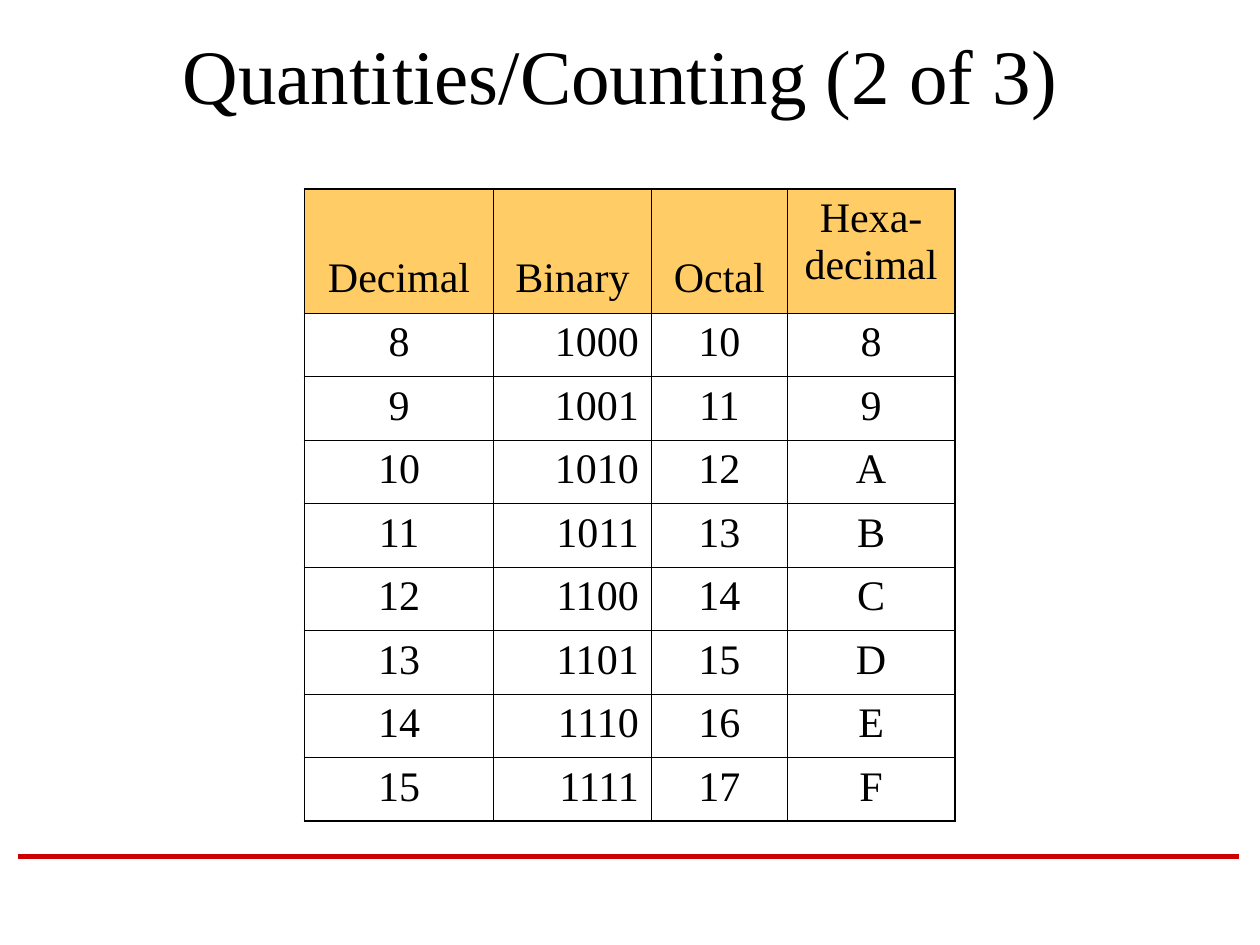
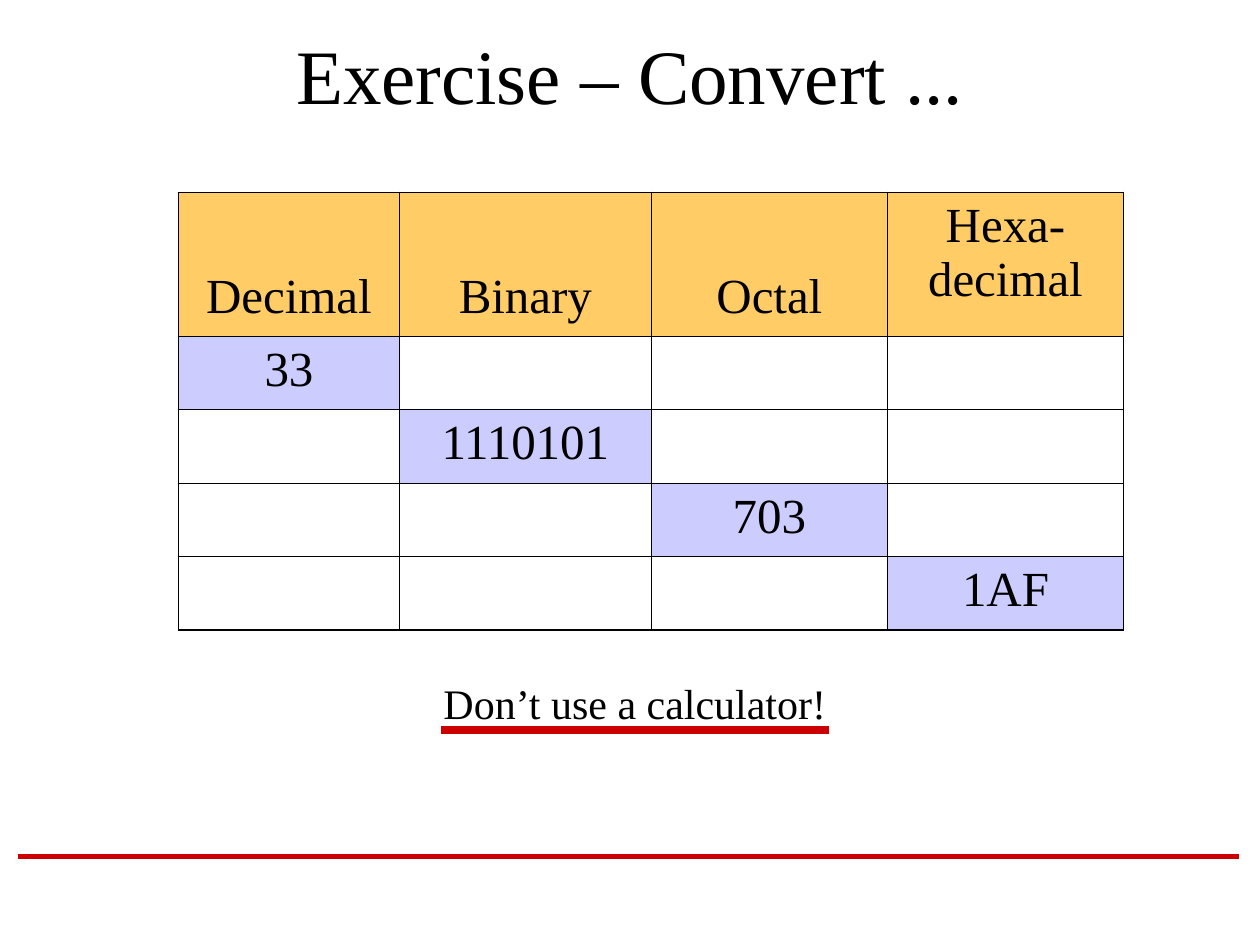
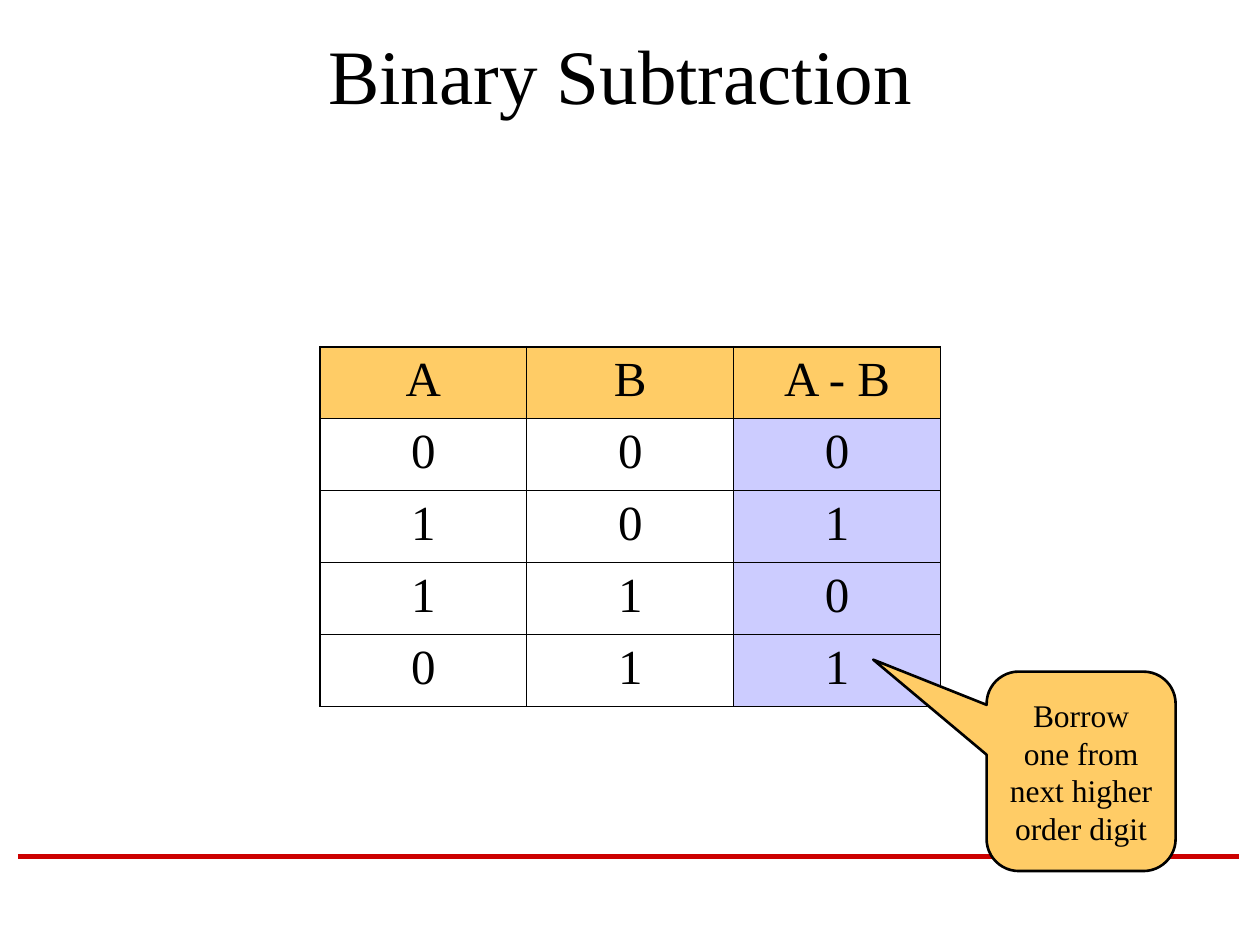
"""Builds three slides on number systems: counting, conversion and subtraction."""
from pptx import Presentation
from pptx.dml.color import RGBColor
from pptx.enum import shapes, text
from pptx.oxml import parse_xml
from pptx.oxml.ns import nsdecls
from pptx.util import Cm, Pt

BLACK = RGBColor(0x00, 0x00, 0x00)
RED = RGBColor(0xCC, 0x00, 0x00)
AMBER = RGBColor(0xFF, 0xCC, 0x66)
LILAC = RGBColor(0xCC, 0xCC, 0xFF)
FONT = "Times New Roman"
THIN, THICK = 0.45, 1.08
LEFT, CENTER, RIGHT = text.PP_ALIGN.LEFT, text.PP_ALIGN.CENTER, text.PP_ALIGN.RIGHT
TOP, MIDDLE, BOTTOM = text.MSO_ANCHOR.TOP, text.MSO_ANCHOR.MIDDLE, text.MSO_ANCHOR.BOTTOM

BASES = ["Decimal", "Binary", "Octal", "Hexa-\vdecimal"]
COUNTING = {
    "rows": [BASES] + [[f"{n}", f"{n:b}", f"{n:o}", f"{n:X}"] for n in range(8, 16)],
    "at": (6.14, 3.81), "cols": [3.81, 3.18, 2.74, 3.38], "head": 2.5, "row": 1.28,
    "size": 24, "right": {1}, "shaded": set(),
}
EXERCISE = {
    "rows": [BASES,
             ["33", "", "", ""],
             ["", "1110101", "", ""],
             ["", "", "703", ""],
             ["", "", "", "1AF"]],
    "at": (3.6, 3.88), "cols": [4.45, 5.08, 4.76, 4.76], "head": 2.9, "row": 1.48,
    "size": 28, "right": set(), "shaded": {(n + 1, n) for n in range(4)},
}
SUBTRACTION = {
    "rows": [["A", "B", "A - B"],
             ["0", "0", "0"],
             ["1", "0", "1"],
             ["1", "1", "0"],
             ["0", "1", "1"]],
    "at": (6.45, 6.99), "cols": [4.17] * 3, "head": 1.45, "row": 1.45,
    "size": 28, "right": set(), "shaded": {(n, 2) for n in range(1, 5)},
}
SLIDES = [("Quantities/Counting (2 of 3) ", COUNTING),
          ("Exercise – Convert ...", EXERCISE),
          ("Binary Subtraction ", SUBTRACTION)]


def write(tf, words, size=24, align=CENTER, anchor=MIDDLE, wrap=True):
    tf.word_wrap = wrap
    tf.vertical_anchor = anchor
    p = tf.paragraphs[0]
    p.text = words
    p.alignment = align
    for r in p.runs:
        r.font.name, r.font.size = FONT, Pt(size)
        r.font.color.rgb = BLACK


def add_text(s, box, words, **fmt):
    write(s.shapes.add_textbox(*map(Cm, box)).text_frame, words, **fmt)


def add_rule(s, x1, x2, y, width):
    line = s.shapes.add_connector(shapes.MSO_CONNECTOR.STRAIGHT, Cm(x1), Cm(y), Cm(x2), Cm(y))
    line.line.color.rgb, line.line.width = RED, Pt(width)
    line._element.spPr.append(parse_xml(f"<a:effectLst {nsdecls('a')}/>"))


def set_borders(cell, outer):
    tc_pr = cell._tc.get_or_add_tcPr()
    for side, is_outer in outer.items():
        width = Pt(THICK if is_outer else THIN)
        tc_pr.append(parse_xml(
            f'<a:ln{side} {nsdecls("a")} w="{width}"><a:solidFill>'
            f'<a:srgbClr val="{BLACK}"/></a:solidFill></a:ln{side}>'))


def add_table(s, data):
    rows, cols = data["rows"], data["cols"]
    heights = [data["head"]] + [data["row"]] * (len(rows) - 1)
    table = s.shapes.add_table(len(rows), len(cols), *map(Cm, data["at"]),
                               Cm(sum(cols)), Cm(sum(heights))).table
    table.first_row = table.horz_banding = False
    for col, width in zip(table.columns, cols):
        col.width = Cm(width)
    for i, (row, height) in enumerate(zip(rows, heights)):
        table.rows[i].height = Cm(height)
        for j, words in enumerate(row):
            cell = table.cell(i, j)
            set_borders(cell, {"L": j == 0, "R": j == len(cols) - 1,
                               "T": i == 0, "B": i == len(rows) - 1})
            if i == 0 or (i, j) in data["shaded"]:
                cell.fill.solid()
                cell.fill.fore_color.rgb = LILAC if i else AMBER
            else:
                cell.fill.background()
            write(cell.text_frame, words, size=data["size"],
                  align=RIGHT if i and j in data["right"] else CENTER)
            low = words in BASES[:3]
            cell.vertical_anchor = BOTTOM if low else TOP
            if low:
                cell.margin_bottom = Cm(0.24)


def add_callout(s, box, words):
    sp = s.shapes.add_shape(shapes.MSO_SHAPE.ROUNDED_RECTANGULAR_CALLOUT, *map(Cm, box))
    for n, value in enumerate((-1.1, -0.56, 0.17)):
        sp.adjustments[n] = value
    sp.shadow.inherit = False
    sp.fill.solid()
    sp.fill.fore_color.rgb = AMBER
    sp.line.color.rgb, sp.line.width = BLACK, Pt(1.5)
    write(sp.text_frame, words, size=18)


def main():
    prs = Presentation()
    prs.slide_width, prs.slide_height = Cm(25.4), Cm(19.05)
    for title, data in SLIDES:
        s = prs.slides.add_slide(prs.slide_layouts[6])
        add_rule(s, 0.36, 24.97, 17.27, 3)
        add_text(s, (1.9, 0.43, 21.6, 2.11), title, size=44)
        add_table(s, data)
        if data is EXERCISE:
            add_text(s, (8.69, 13.54, 8.23, 1.27), "Don’t use a calculator!",
                     align=LEFT, anchor=TOP, wrap=False)
            add_rule(s, 8.89, 16.71, 14.71, 4.5)
        elif data is SUBTRACTION:
            add_callout(s, (19.89, 13.54, 3.81, 4.02),
                        "Borrow one from next higher order digit")
    prs.save("out.pptx")


if __name__ == "__main__":
    main()
